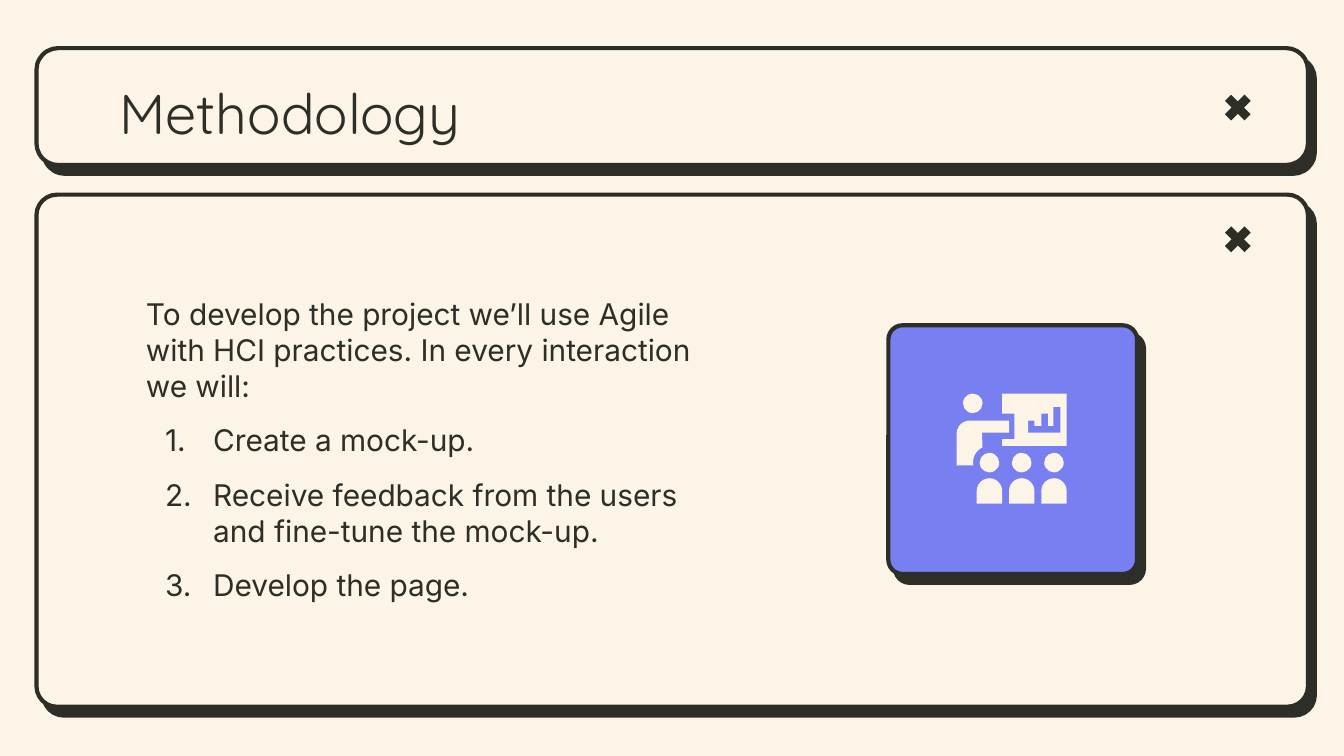
from math import cos, radians, sin

from lxml.etree import SubElement
from pptx import Presentation
from pptx.dml.color import RGBColor
from pptx.enum.shapes import MSO_SHAPE as SHAPE
from pptx.enum.text import MSO_ANCHOR as ANCHOR
from pptx.oxml.ns import qn
from pptx.util import Cm, Pt

CREAM = RGBColor(0xFC, 0xF4, 0xE6)
INK = RGBColor(0x2D, 0x2E, 0x27)
VIOLET = RGBColor(0x78, 0x7F, 0xF0)

TITLE = "Methodology"
INTRO = "To develop the project we’ll use Agile with HCI practices. In every interaction we will:"
STEPS = [
    "Create a mock-up.",
    "Receive feedback from the users and fine-tune the mock-up.",
    "Develop the page.",
]

# Boxes are left, top, width, height in centimetres.
PANELS = [  # box, corner, fill
    ((0.69, 0.91, 24.03, 2.21), 0.186, CREAM),
    ((0.69, 3.68, 24.03, 9.68), 0.04, CREAM),
    ((16.79, 6.15, 4.7, 4.7), 0.057, VIOLET),
]
CROSS_LEFT, CROSS_TOPS, CROSS_SIZE = 23.04, (1.68, 4.17), 0.71
TITLE_BOX = (2.01, 1.24, 21.41, 1.6)
BODY_BOX = (2.51, 4.29, 11.28, 8.41)
INSET = 0.25

# Icon parts are measured from the icon's top left corner.
ICON_LEFT, ICON_TOP = 18.08, 7.44
HEAD, BUST = 0.37, 0.48
AUDIENCE, AUDIENCE_LEFT, AUDIENCE_PITCH = 3, 0.62, 0.61
AUDIENCE_HEAD_TOP, AUDIENCE_BUST_TOP = 1.12, 1.6
BOARD = [(0.86, 0), (0.86, 0.38), (1.09, 0.38), (1.09, 0.86),
         (0.86, 0.86), (0.86, 0.99), (2.08, 0.99), (2.08, 0)]
BOARD_CHART = [(1.96, 0.25), (1.96, 0.74), (1.35, 0.74), (1.35, 0.51),
               (1.47, 0.51), (1.47, 0.61), (1.6, 0.61), (1.6, 0.38),
               (1.73, 0.38), (1.73, 0.61), (1.83, 0.61), (1.83, 0.25)]


def arc(x, y, radius, start, end, steps=12):
    """Points along a circle, in degrees clockwise from the right."""
    angles = [radians(start + (end - start) * i / steps) for i in range(steps + 1)]
    return [(x + radius * cos(a), y + radius * sin(a)) for a in angles]


PRESENTER = [*arc(0.25, 0.76, 0.25, 270, 180), (0, 1.36),
             *arc(0.62, 1.3, 0.31, 169, 245), (0.48, 0.74), (0.99, 0.74), (0.99, 0.51)]

prs = Presentation()
prs.slide_width, prs.slide_height = Cm(25.4), Cm(14.29)
slide = prs.slides.add_slide(prs.slide_layouts[6])
slide.background.fill.solid()
slide.background.fill.fore_color.rgb = CREAM
shapes = slide.shapes


def paint(shape, fill):
    shape.shadow.inherit = False
    shape.fill.solid()
    shape.fill.fore_color.rgb = fill
    shape.line.fill.background()
    return shape


def add_preset(kind, box, fill, adjust=None):
    shape = paint(shapes.add_shape(kind, *map(Cm, box)), fill)
    if adjust is not None:
        shape.adjustments[0] = adjust
    return shape


def add_panel(box, corner, fill):
    """Outlined rounded box with a hard offset shadow."""
    panel = add_preset(SHAPE.ROUNDED_RECTANGLE, box, fill, corner)
    panel.line.color.rgb = INK
    panel.line.width = Pt(2.25)
    effects = panel._element.spPr.find(qn("a:effectLst"))
    shadow = SubElement(effects, qn("a:outerShdw"), blurRad="0", dist=str(Pt(6)),
                        dir=str(52 * 60000), algn="bl", rotWithShape="0")
    SubElement(shadow, qn("a:srgbClr"), val=str(INK))


def add_outline(*contours):
    """Icon part from closed contours; an inner contour is a hole."""
    placed = [[(Cm(ICON_LEFT + x), Cm(ICON_TOP + y)) for x, y in points]
              for points in contours]
    builder = shapes.build_freeform(*placed[0][0], scale=1.0)
    builder.add_line_segments(placed[0][1:], close=True)
    for points in placed[1:]:
        builder.move_to(*points[0])
        builder.add_line_segments(points[1:], close=True)
    paint(builder.convert_to_shape(), CREAM)


def add_icon_preset(kind, left, top, size, adjust=None):
    add_preset(kind, (ICON_LEFT + left, ICON_TOP + top, size, size), CREAM, adjust)


def add_frame(box, anchor):
    frame = shapes.add_textbox(*map(Cm, box)).text_frame
    frame.word_wrap = True
    frame.vertical_anchor = anchor
    frame.margin_left = frame.margin_right = Cm(INSET)
    frame.margin_top = frame.margin_bottom = Cm(INSET)
    return frame


def write(paragraph, text, *, font="Inter", size=16, before=0, after=0, numbered=False):
    run = paragraph.add_run()
    run.text = text
    run.font.name, run.font.size = font, Pt(size)
    run.font.color.rgb = INK
    paragraph.space_before, paragraph.space_after = Pt(before), Pt(after)
    if numbered:
        props = paragraph._p.get_or_add_pPr()
        props.set("marL", str(Cm(1.27)))
        props.set("indent", str(Cm(-0.91)))
        colour = SubElement(props, qn("a:buClr"))
        SubElement(colour, qn("a:srgbClr"), val=str(INK))
        SubElement(props, qn("a:buFont"), typeface=font)
        SubElement(props, qn("a:buAutoNum"), type="arabicPeriod")


for box, corner, fill in PANELS:
    add_panel(box, corner, fill)
for top in CROSS_TOPS:
    add_preset(SHAPE.MATH_MULTIPLY, (CROSS_LEFT, top, CROSS_SIZE, CROSS_SIZE), INK, 0.235)

body = add_frame(BODY_BOX, ANCHOR.MIDDLE)
write(body.paragraphs[0], INTRO)
for step in STEPS:
    write(body.add_paragraph(), step, before=10, numbered=True,
          after=10 if step == STEPS[-1] else 0)
title = add_frame(TITLE_BOX, ANCHOR.TOP)
write(title.paragraphs[0], TITLE, font="Quicksand", size=30)

add_icon_preset(SHAPE.OVAL, 0.12, 0, HEAD)
add_outline(BOARD, BOARD_CHART)
add_outline(PRESENTER)
for seat in range(AUDIENCE):
    centre = AUDIENCE_LEFT + seat * AUDIENCE_PITCH
    add_icon_preset(SHAPE.OVAL, centre - HEAD / 2, AUDIENCE_HEAD_TOP, HEAD)
    add_icon_preset(SHAPE.ROUND_2_SAME_RECTANGLE, centre - BUST / 2,
                    AUDIENCE_BUST_TOP, BUST, 0.5)

prs.save("out.pptx")
